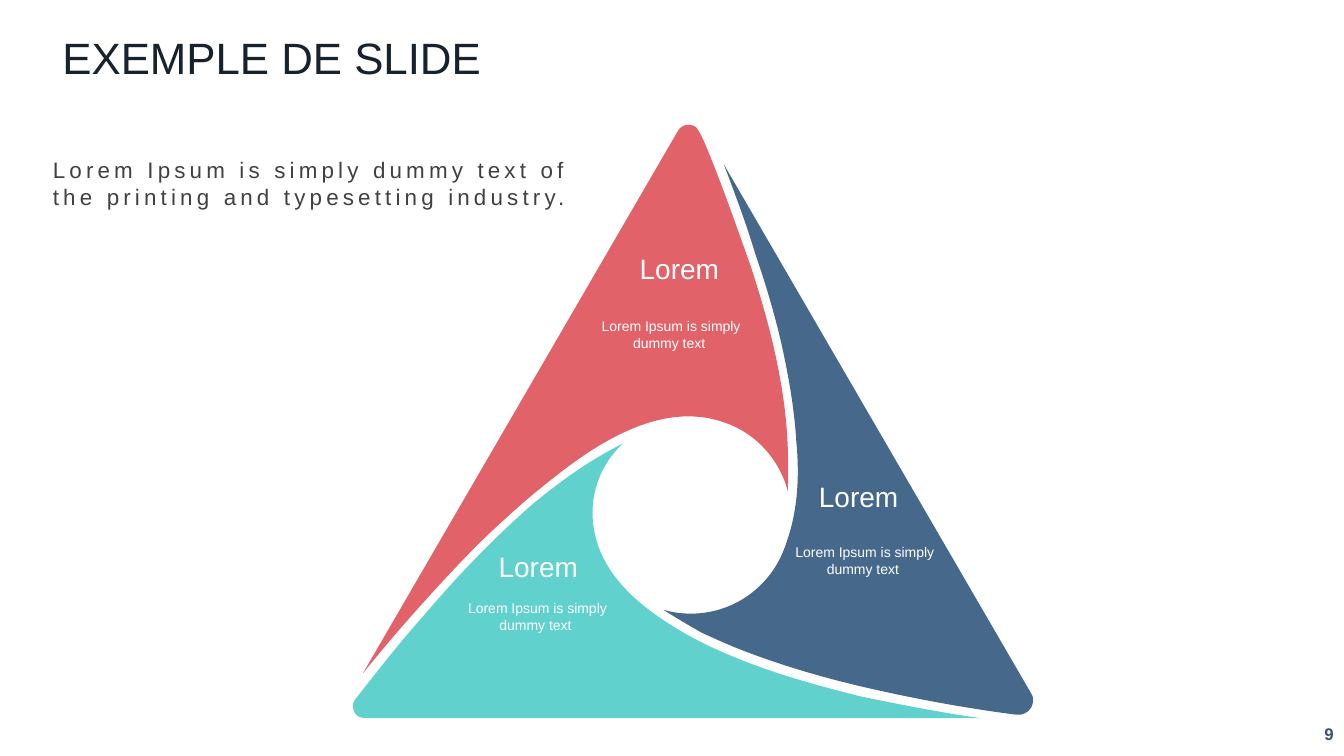
from lxml import etree
from pptx import Presentation
from pptx.dml.color import RGBColor
from pptx.enum import text
from pptx.oxml.ns import qn
from pptx.util import Pt

COLORS = {
    "title": "17222C", "page": "36526E", "intro": "404040", "white": "FFFFFF",
    "red": "E16268", "blue": "45688B", "teal": "61D1CE",
}
FONT = "Arial"
TITLE = "EXEMPLE DE SLIDE"
INTRO = "Lorem Ipsum is simply dummy text of the printing and typesetting industry."
PAGE_NUMBER = "9"
DETAIL = "Lorem Ipsum is simply dummy text "

# Outlines in points: a pair is a straight line, six numbers are a Bezier curve
BLADES = [
    ("red", (498.2, 92.2), [
        (501.5, 97, 505, 106, 509, 115.9),
        (518.4, 139.7, 527, 164.2, 535.7, 188.6),
        (547.9, 225.4, 558, 263.5, 561.6, 302.4),
        (563, 318.2, 563.3, 334.1, 562.7, 350.6),
        (556.6, 328.3, 540.7, 310.3, 519.1, 302.4),
        (477.4, 286.6, 434.2, 311, 398.2, 339.1),
        (385.2, 349.2, 373, 359.3, 360.7, 370.8),
        (348.5, 381.6, 337, 393.1, 325.4, 405.4),
        (302.4, 429.8, 280.1, 455, 259.2, 481),
        (484.6, 92.9),
        (486, 90.7, 488.9, 88.9, 492.5, 89.1),
        (494.6, 89.2, 496.8, 90, 498.2, 92.2),
    ]),
    ("blue", (517, 117.4), [
        (524.9, 138.2, 532.8, 159.1, 539.3, 180.7),
        (546.5, 201.6, 553, 223.2, 558, 244.8),
        (563, 267.1, 567.4, 291.6, 568.8, 315.4),
        (571, 338.4, 570.2, 362.9, 562.3, 385.9),
        (558.7, 397.4, 553, 408.2, 544.3, 416.9),
        (526.3, 435.6, 499, 442.8, 473.8, 435.6),
        (483.1, 441.4, 492.5, 447.1, 501.8, 452.2),
        (511.2, 456.5, 520.6, 460.8, 529.9, 464.4),
        (561.6, 476.6, 594.7, 486, 627.8, 493.2),
        (660.2, 500.4, 692.6, 506.2, 725.8, 510.5),
        (730.1, 511.2, 734.4, 509, 736.6, 505.4),
        (738, 502.6, 738.7, 498.2, 736.6, 495.4),
    ]),
    ("teal", (445, 316.8), [
        (427, 333.4, 419.8, 357.8, 424.8, 380.9),
        (430.6, 409, 452.9, 429.8, 478.1, 445.7),
        (494.6, 456.5, 511.9, 464.4, 529.9, 471.6),
        (557.3, 482.4, 586.1, 490.3, 614.9, 497.5),
        (643, 503.3, 671.8, 509, 700.6, 513),
        (259.9, 512.9),
        (256.3, 512.6, 253.4, 510.5, 252.7, 507.6),
        (251.3, 504.7, 252, 501.1, 254.2, 499),
        (270, 478.8, 285.8, 458.6, 303.1, 439.2),
        (324, 414.7, 346.3, 391, 370.1, 369.4),
        (381.6, 358.6, 393.8, 349.2, 406.8, 339.8),
        (419, 331.2, 432, 323.3, 445, 316.8),
    ]),
]
# Heading with left, top and width, then left, top and width of the detail
LABELS = [
    ("Lorem", (454.7, 177.8, 61.2), (420.3, 224.8, 118)),
    ("Lorem ", (582.6, 340.2, 67), (564.7, 386.3, 106)),
    ("Lorem", (353.9, 390.2, 61.2), (325.4, 426.2, 117)),
]
LABEL_HEIGHT, LABEL_INSET = 28, 2.2


def rgb(name):
    return RGBColor.from_string(COLORS[name])


def style_text(frame, words, size, color, align, anchor, bold=False):
    frame.text = words
    frame.auto_size = text.MSO_AUTO_SIZE.NONE
    frame.vertical_anchor = anchor
    paragraph = frame.paragraphs[0]
    paragraph.alignment = align
    font = paragraph.font
    font.name, font.size, font.bold = FONT, Pt(size), bold
    font.color.rgb = rgb(color)
    return paragraph


def add_text(slide, box, words, size, color, align, anchor, inset=None,
             wrap=True, bold=False):
    frame = slide.shapes.add_textbox(*map(Pt, box)).text_frame
    frame.word_wrap = wrap
    if inset is not None:
        frame.margin_left = frame.margin_right = Pt(inset)
        frame.margin_top = frame.margin_bottom = Pt(inset)
    return style_text(frame, words, size, color, align, anchor, bold)


def add_blade(slide, color, start, segments):
    builder = slide.shapes.build_freeform(*map(Pt, start), scale=1.0)
    builder.add_line_segments([tuple(map(Pt, segment[-2:])) for segment in segments])
    shape = builder.convert_to_shape()
    shape.shadow.inherit = False
    shape.fill.solid()
    shape.fill.fore_color.rgb = rgb(color)
    shape.line.fill.background()

    # Bend the sides that have control points
    sides = list(shape._element.iter(qn("a:lnTo")))
    for side, segment in zip(sides, segments):
        if len(segment) == 6:
            side.tag = qn("a:cubicBezTo")
            for index in (0, 2):
                control = etree.Element(qn("a:pt"))
                control.set("x", str(Pt(segment[index]) - shape.left))
                control.set("y", str(Pt(segment[index + 1]) - shape.top))
                side.insert(index // 2, control)


def main():
    left, center, right = text.PP_ALIGN.LEFT, text.PP_ALIGN.CENTER, text.PP_ALIGN.RIGHT
    top, middle = text.MSO_ANCHOR.TOP, text.MSO_ANCHOR.MIDDLE
    presentation = Presentation()
    presentation.slide_width, presentation.slide_height = Pt(960), Pt(540)
    slide = presentation.slides.add_slide(presentation.slide_layouts[5])

    # Title, raised by 12 percent
    title = slide.shapes.title
    title.left, title.top, title.width, title.height = map(Pt, (37.4, 15.8, 828, 44.6))
    paragraph = style_text(title.text_frame, TITLE, 54, "title", left, middle)
    paragraph.runs[0].font._element.set("baseline", "12000")

    # Page number
    add_text(slide, (918.7, 507.6, 41, 32.4), PAGE_NUMBER, 12, "page", right, middle, bold=True)

    # Triangle of three blades
    for color, start, segments in BLADES:
        add_blade(slide, color, start, segments)

    # Blade labels
    for heading, heading_place, detail_place in LABELS:
        add_text(slide, (*heading_place, LABEL_HEIGHT), heading, 20,
                 "white", center, middle, LABEL_INSET, wrap=False)
        add_text(slide, (*detail_place, LABEL_HEIGHT), DETAIL, 10,
                 "white", center, top, LABEL_INSET)

    # Introduction with letters spaced by 3 points
    paragraph = add_text(slide, (30.7, 108, 388, 65.5), INTRO, 16, "intro", left, top)
    paragraph.runs[0].font._element.set("spc", "300")

    presentation.save("out.pptx")


if __name__ == "__main__":
    main()
